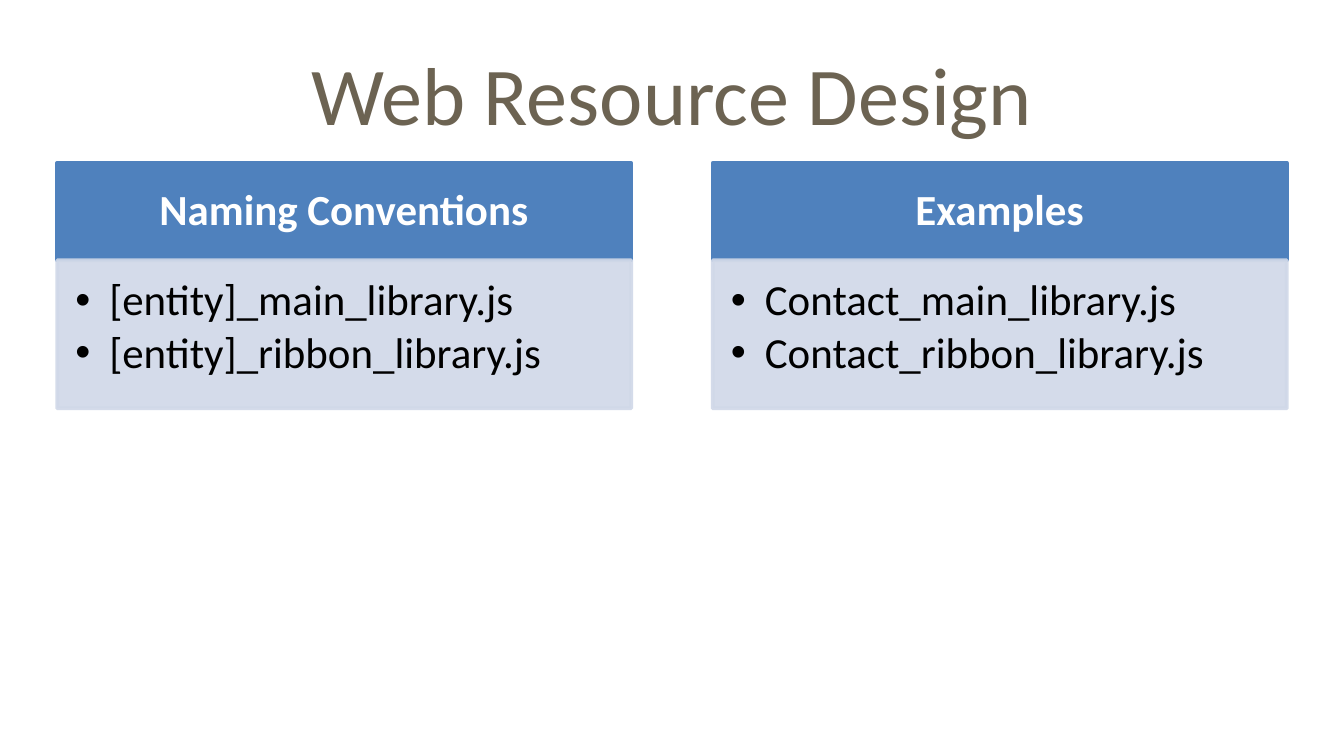
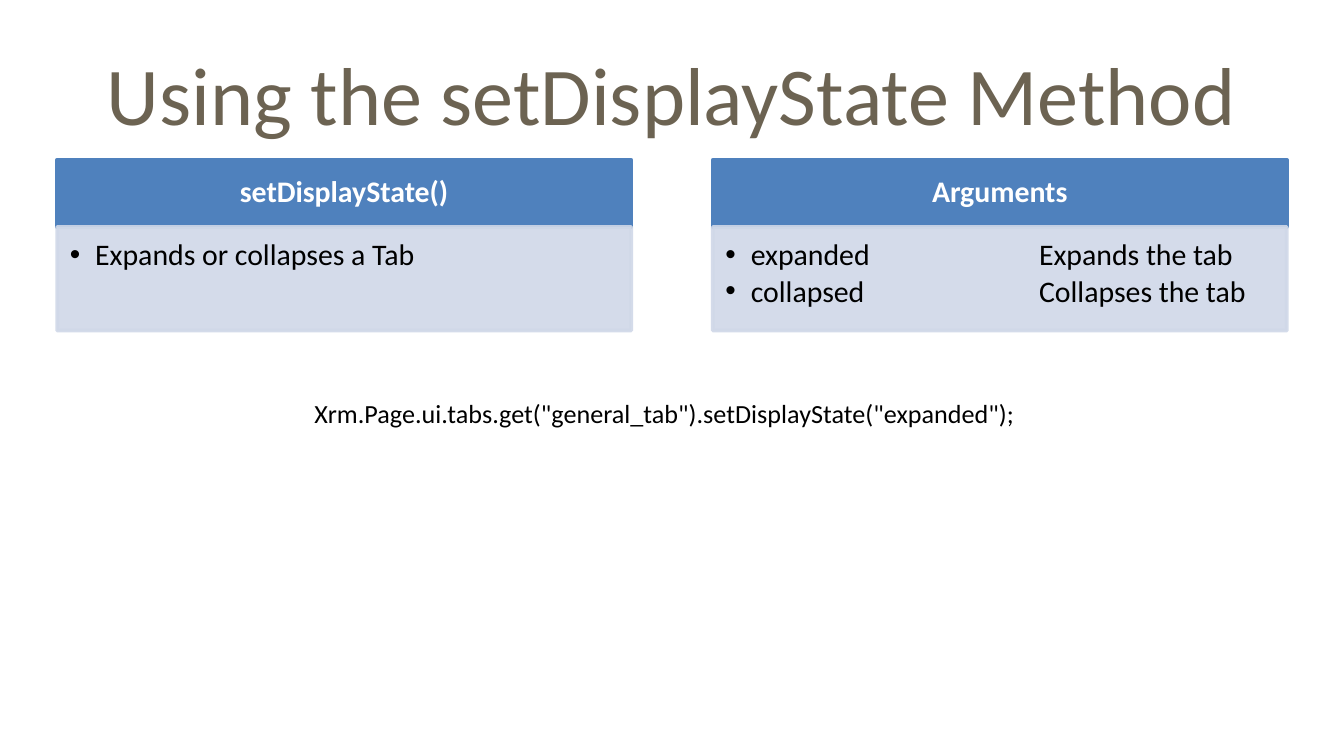
from lxml import etree
from pptx import Presentation
from pptx.dml.color import RGBColor
from pptx.enum.text import MSO_ANCHOR, MSO_AUTO_SIZE, PP_ALIGN
from pptx.oxml.ns import qn
from pptx.util import Cm, Pt

# Style
TITLE_BROWN = RGBColor(0x6C, 0x63, 0x52)
HEADER_BLUE = RGBColor(0x4F, 0x81, 0xBD)
PANEL_BLUE = RGBColor(0xD0, 0xD8, 0xE8)
WHITE = RGBColor(0xFF, 0xFF, 0xFF)
BLACK = RGBColor(0x00, 0x00, 0x00)
FONT_NAME = "Calibri"
CENTER, LEFT = PP_ALIGN.CENTER, PP_ALIGN.LEFT
MIDDLE, TOP = MSO_ANCHOR.MIDDLE, MSO_ANCHOR.TOP
NO_AUTOFIT, GROW = MSO_AUTO_SIZE.NONE, MSO_AUTO_SIZE.SHAPE_TO_FIT_TEXT

# Page grid in centimetres
PAGE_WIDTH, PAGE_HEIGHT = 25.4, 14.29
COLUMN_WIDTH = 10.85
COLUMN_MARGIN = 1.08
COLUMN_LEFTS = (COLUMN_MARGIN, PAGE_WIDTH - COLUMN_MARGIN - COLUMN_WIDTH)
COMPARISON_LAYOUT = 4
TAB_PER_POINT = 3.5

# Insets (left, top, right, bottom) in hundredths of a centimetre per text point
HEADER_INSETS = (2, 1.1, 2, 1.1)
LIST_INSETS = (1.5, 1.5, 2, 2.2)


def set_attributes(target, values):
    for name, value in values.items():
        setattr(target, name, value)


class Deck:
    """Holds the shared style and the current slide."""

    def __init__(self):
        self.presentation = Presentation()
        self.presentation.slide_width = Cm(PAGE_WIDTH)
        self.presentation.slide_height = Cm(PAGE_HEIGHT)
        self.slide = None

    def add_slide(self, title):
        layout = self.presentation.slide_layouts[COMPARISON_LAYOUT]
        self.slide = self.presentation.slides.add_slide(layout)
        shape = self.slide.shapes.title
        self.place(shape, 1.27, 0.57, 22.86, 2.38)
        self.fill_text(shape, [title], 44, TITLE_BROWN, CENTER, MIDDLE)

    def place(self, shape, left, top, width, height):
        set_attributes(shape, {"left": Cm(left), "top": Cm(top),
                               "width": Cm(width), "height": Cm(height)})

    def fill_text(self, shape, lines, size, color, alignment=LEFT, anchor=TOP,
                  bold=False, spacing=1.0, after=0, bullet_indent=None):
        frame = shape.text_frame
        set_attributes(frame, {"word_wrap": True, "auto_size": NO_AUTOFIT,
                               "vertical_anchor": anchor})
        frame.text = "\n".join(lines)
        for paragraph in frame.paragraphs:
            set_attributes(paragraph, {"alignment": alignment, "line_spacing": spacing,
                                       "space_before": Pt(0), "space_after": Pt(after)})
            if bullet_indent:
                self.add_bullet(paragraph, bullet_indent, size)
            for run in paragraph.runs:
                set_attributes(run.font, {"name": FONT_NAME, "size": Pt(size), "bold": bold})
                run.font.color.rgb = color

    def add_bullet(self, paragraph, indent, size):
        properties = paragraph._p.get_or_add_pPr()
        for name, length in {"marL": Cm(indent), "indent": -Cm(indent),
                             "defTabSz": Pt(size * TAB_PER_POINT)}.items():
            properties.set(name, str(int(length)))
        etree.SubElement(properties, qn("a:buFont")).set("typeface", "Arial")
        etree.SubElement(properties, qn("a:buChar")).set("char", "•")

    def paint(self, shape, color, opacity=100):
        shape.fill.solid()
        shape.fill.fore_color.rgb = color
        shape.line.color.rgb = color
        shape.line.width = Pt(2)
        if opacity < 100:
            for element in shape._element.spPr.iter(qn("a:srgbClr")):
                etree.SubElement(element, qn("a:alpha")).set("val", str(opacity * 1000))

    def set_insets(self, shape, insets, size):
        sides = ("margin_left", "margin_top", "margin_right", "margin_bottom")
        set_attributes(shape.text_frame, {side: Cm(inset * size / 100)
                                          for side, inset in zip(sides, insets)})

    def add_columns(self, columns, size, top, header_height, list_height, indent):
        """Fill the layout's heading and list placeholders, one pair per column."""
        for number, (left, (heading, items)) in enumerate(zip(COLUMN_LEFTS, columns)):
            header = self.slide.placeholders[2 * number + 1]
            self.place(header, left, top, COLUMN_WIDTH, header_height)
            self.paint(header, HEADER_BLUE)
            self.set_insets(header, HEADER_INSETS, size)
            self.fill_text(header, [heading], size, WHITE, CENTER, MIDDLE,
                           bold=True, spacing=0.9)

            panel = self.slide.placeholders[2 * number + 2]
            self.place(panel, left, top + header_height, COLUMN_WIDTH, list_height)
            self.paint(panel, PANEL_BLUE, opacity=90)
            self.set_insets(panel, LIST_INSETS, size)
            self.fill_text(panel, items, size, BLACK, spacing=0.9, after=0.15 * size,
                           bullet_indent=indent)

    def add_code(self, code, left, top, width, height):
        shape = self.slide.shapes.add_textbox(Cm(left), Cm(top), Cm(width), Cm(height))
        self.fill_text(shape, [code], 14, BLACK)
        shape.text_frame.auto_size = GROW


def main():
    deck = Deck()

    # Naming conventions
    deck.add_slide("Web Resource Design")
    deck.add_columns(
        [("Naming Conventions", ["[entity]_main_library.js", "[entity]_ribbon_library.js"]),
         ("Examples", ["Contact_main_library.js", "Contact_ribbon_library.js"])],
        size=23, top=3.08, header_height=1.84, list_height=2.8, indent=0.64)

    # Display state method
    deck.add_slide("Using the setDisplayState Method")
    deck.add_columns(
        [("setDisplayState()", ["Expands or collapses a Tab"]),
         ("Arguments", ["expanded\t\tExpands the tab", "collapsed\t\tCollapses the tab"])],
        size=16, top=3.02, header_height=1.27, list_height=1.96, indent=0.48)
    deck.add_code('Xrm.Page.ui.tabs.get("general_tab").setDisplayState("expanded");',
                  5.69, 7.39, 14.05, 0.86)

    deck.presentation.save("out.pptx")


if __name__ == "__main__":
    main()
